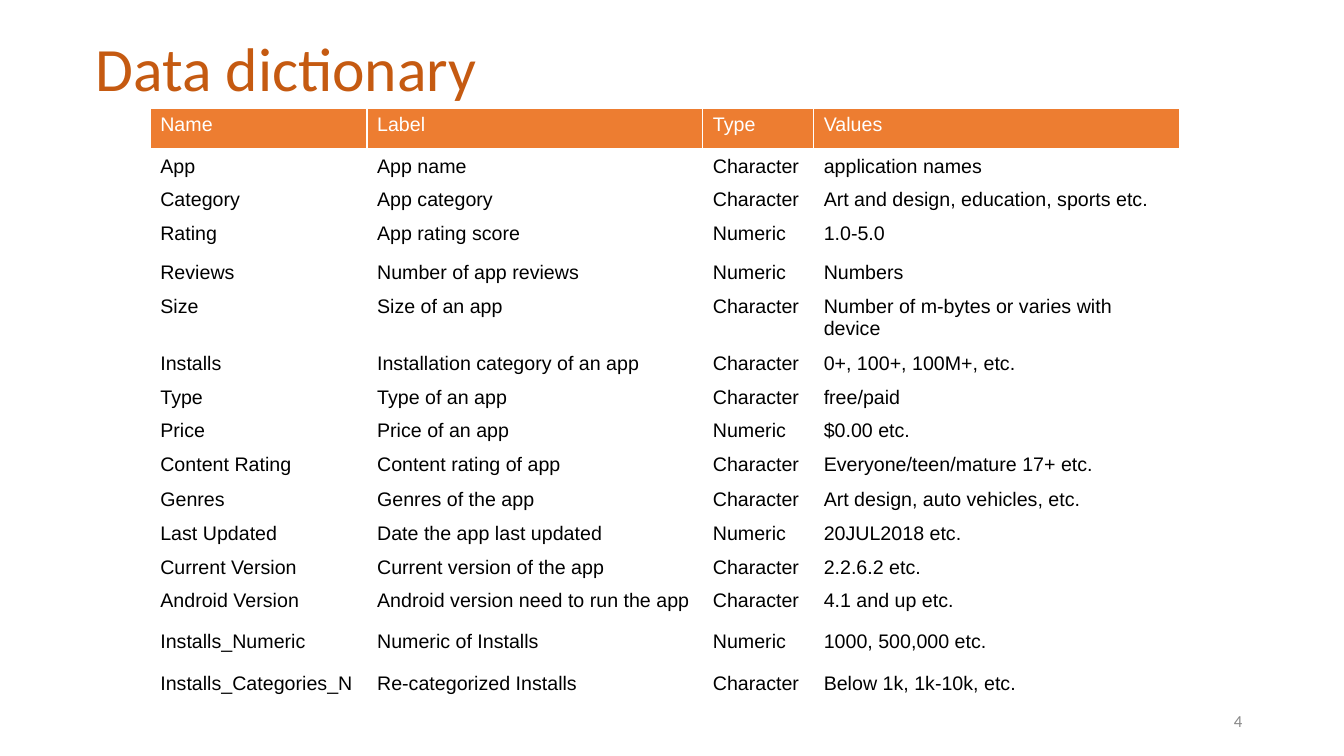
from lxml import etree
from pptx import Presentation
from pptx import util as u
from pptx.dml import color
from pptx.enum import text
from pptx.oxml import ns

THEME = {
    "title": {"name": "Calibri", "size": 44, "color": "C55A11"},
    "head": {"name": "Arial", "size": 14, "color": "FFFFFF"},
    "body": {"name": "Arial", "size": 14, "color": "000000"},
    "page": {"name": "Calibri", "size": 12, "color": "888888"},
    "band": "ED7D31",
    "rule": "FFFFFF",
}


def write(frame, words, style, **para):
    """Fill a text frame with one styled paragraph."""
    line = frame.paragraphs[0]
    line.text = words
    for key, value in para.items():
        setattr(line, key, value)
    look = THEME[style]
    font = line.runs[0].font
    for key, value in {"name": look["name"], "size": u.Pt(look["size"]), "bold": False}.items():
        setattr(font, key, value)
    font.color.rgb = color.RGBColor.from_string(look["color"])


def label(box, inset, words, style, **para):
    """Add a text box centred vertically on its place."""
    frame = slide.shapes.add_textbox(*map(u.Inches, box)).text_frame
    form = {
        "word_wrap": True,
        "vertical_anchor": text.MSO_ANCHOR.MIDDLE,
        "margin_left": u.Inches(0.1),
        "margin_right": u.Inches(0.1),
        "margin_top": u.Inches(inset),
        "margin_bottom": u.Inches(inset),
    }
    for key, value in form.items():
        setattr(frame, key, value)
    write(frame, words, style, **para)


deck = Presentation()
deck.slide_width = u.Inches(13.33)
deck.slide_height = u.Inches(7.5)
slide = deck.slides.add_slide(deck.slide_layouts[6])

# Title
label((0.85, -0.02, 11.5, 1.45), 0.1, "Data dictionary", "title", line_spacing=0.9)

# Data dictionary: row height, then the four cells
ROWS = [
    (0.41, "Name", "Label", "Type", "Values"),
    (0.25, "App", "App name", "Character", "application names"),
    (0.33, "Category", "App category", "Character", "Art and design, education, sports etc."),
    (0.39, "Rating", "App rating score", "Numeric", "1.0-5.0"),
    (0.33, "Reviews", "Number of app reviews", "Numeric", "Numbers"),
    (0.13, "Size", "Size of an app", "Character", "Number of m-bytes or varies with device"),
    (0.32, "Installs", "Installation category of an app", "Character", "0+, 100+, 100M+, etc."),
    (0.28, "Type", "Type of an app", "Character", "free/paid"),
    (0.25, "Price", "Price of an app", "Numeric", "$0.00 etc."),
    (0.35, "Content Rating", "Content rating of app", "Character", "Everyone/teen/mature 17+ etc."),
    (0.32, "Genres", "Genres of the app", "Character", "Art design, auto vehicles, etc."),
    (0.26, "Last Updated", "Date the app last updated", "Numeric", "20JUL2018 etc."),
    (0.26, "Current Version", "Current version of the app", "Character", "2.2.6.2 etc."),
    (0.41, "Android Version", "Android version need to run the app", "Character", "4.1 and up etc."),
    (0.41, "Installs_Numeric", "Numeric of Installs", "Numeric", "1000, 500,000 etc."),
    (0.41, "Installs_Categories_N", "Re-categorized Installs", "Character", "Below 1k, 1k-10k, etc."),
]
COLS = [2.15, 3.33, 1.1, 3.63]
EDGES = {"a:lnL": 1, "a:lnR": 1, "a:lnT": 1, "a:lnB": 3}

holder = slide.shapes.add_table(
    len(ROWS), len(COLS), u.Inches(1.49), u.Inches(1.08), u.Inches(10.22), u.Inches(5.93))
table = holder.table
table.horz_banding = False
for col, width in zip(table.columns, COLS):
    col.width = u.Inches(width)

for r, (height, *words) in enumerate(ROWS):
    table.rows[r].height = u.Inches(height)
    for c, word in enumerate(words):
        cell = table.cell(r, c)
        write(cell.text_frame, word, "body" if r else "head")
        if r:
            cell.fill.background()
            continue
        # Header cells: white rules, heavier below
        props = cell._tc.get_or_add_tcPr()
        for tag, weight in EDGES.items():
            edge = etree.SubElement(props, ns.qn(tag), w=str(u.Pt(weight)))
            paint = etree.SubElement(edge, ns.qn("a:solidFill"))
            etree.SubElement(paint, ns.qn("a:srgbClr"), val=THEME["rule"])
        cell.fill.solid()
        cell.fill.fore_color.rgb = color.RGBColor.from_string(THEME["band"])
holder.height = u.Inches(5.93)

# Page number
label((9.42, 6.95, 3, 0.4), 0.05, "4", "page", alignment=text.PP_ALIGN.RIGHT)

deck.save("out.pptx")
